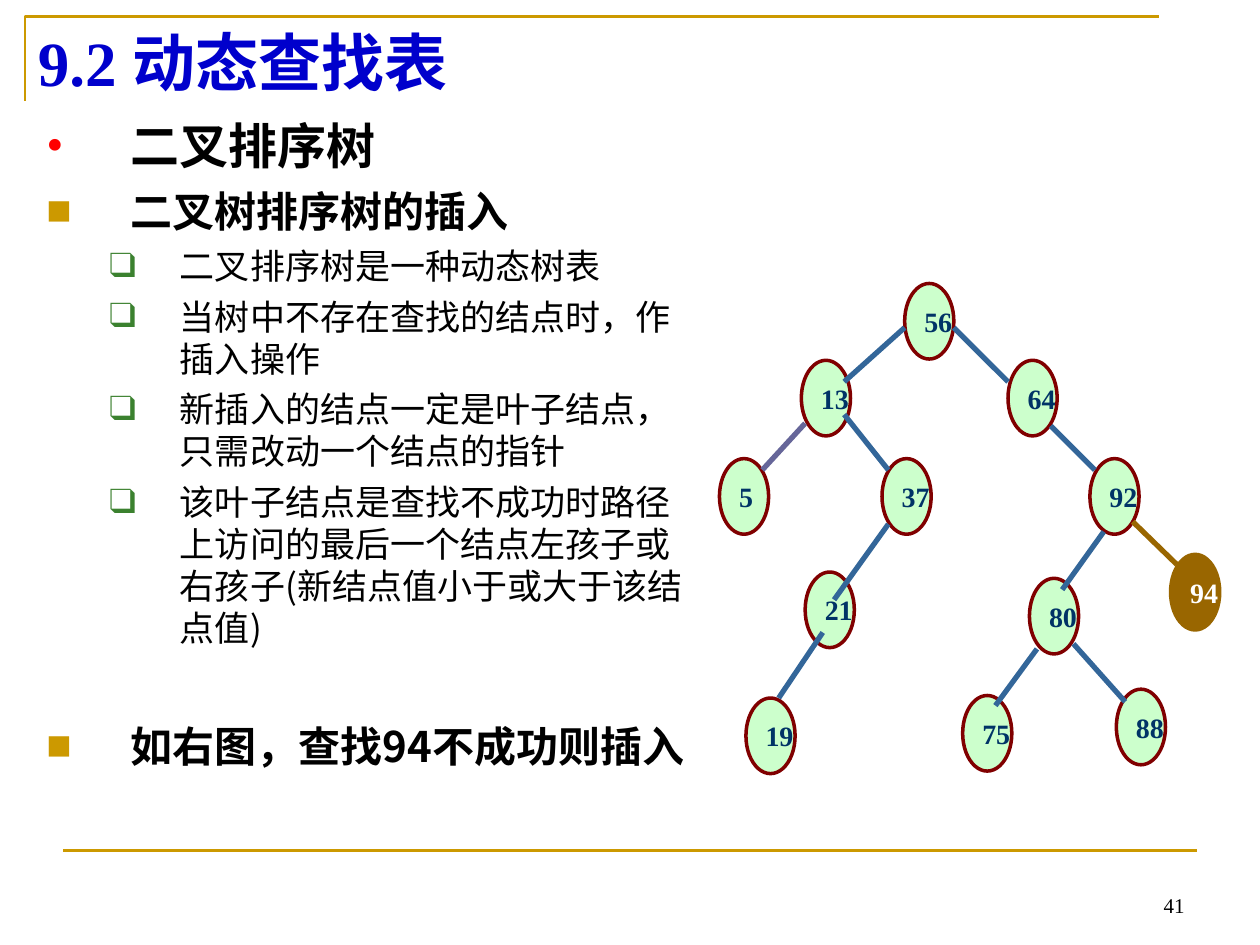
from pptx import Presentation
from pptx.dml.color import RGBColor
from pptx.enum.shapes import MSO_CONNECTOR, MSO_SHAPE
from pptx.enum.text import MSO_ANCHOR, MSO_AUTO_SIZE, PP_ALIGN
from pptx.oxml.ns import qn
from pptx.util import Inches, Pt
from lxml import etree

LINE, OVAL = MSO_CONNECTOR.STRAIGHT, MSO_SHAPE.OVAL
TOP, MID, LOW = MSO_ANCHOR.TOP, MSO_ANCHOR.MIDDLE, MSO_ANCHOR.BOTTOM
LEFT, RIGHT = PP_ALIGN.LEFT, PP_ALIGN.RIGHT


class Theme:
    sans, serif = "Noto Sans CJK SC", "Times New Roman"
    gold, blue, black, white = "CC9900", "0000CC", "000000", "FFFFFF"
    red, green = "FF0000", "3B812F"
    mint, maroon, navy, brown = "CCFFCC", "800000", "003366", "996600"
    edge, violet = "336699", "666699"
    title, node, page = 36, 16, 12
    leading = 1.2


TITLE = "9.2 动态查找表"
PAGE = "41"

# style: size, bold, indent, hanging, space before, bullet, bullet colour
STYLES = {
    "head": (28, True, 0.67, 0.67, 0, "•", Theme.red),
    "topic": (24, True, 0.67, 0.67, 6, "■", Theme.gold),
    "point": (20, False, 1.06, 0.56, 5, "❑", Theme.green),
    "case": (24, True, 0.67, 0.67, 41, "■", Theme.gold),
}
BODY = [
    ("head", "二叉排序树"),
    ("topic", "二叉树排序树的插入"),
    ("point", "二叉排序树是一种动态树表"),
    ("point", "当树中不存在查找的结点时，作插入操作"),
    ("point", "新插入的结点一定是叶子结点，只需改动一个结点的指针"),
    ("point", "该叶子结点是查找不成功时路径上访问的最后一个结点左孩子或右孩子"
              "(新结点值小于或大于该结点值)"),
    ("case", "如右图，查找94不成功则插入"),
]

NODE_W, NODE_H = 0.39, 0.6
NEW = 94
NODES = {  # value: left, top
    56: (7.18, 2.25),
    13: (6.36, 2.86), 64: (8, 2.86),
    5: (5.71, 3.64), 37: (7, 3.64), 92: (8.65, 3.64),
    21: (6.39, 4.54), 80: (8.17, 4.59), 94: (9.29, 4.4),
    19: (5.92, 5.54), 75: (7.64, 5.52), 88: (8.86, 5.47),
}
EDGES = {  # (parent, child): start, end
    (56, 13): ((7.18, 2.6), (6.7, 3.03)),
    (56, 64): ((7.57, 2.6), (8, 3.03)),
    (13, 5): ((6.39, 3.36), (6.05, 3.73)),
    (13, 37): ((6.7, 3.29), (7.05, 3.73)),
    (37, 21): ((7.05, 4.16), (6.62, 4.76)),
    (21, 19): ((6.53, 5.02), (6.18, 5.54)),
    (64, 92): ((8.34, 3.38), (8.69, 3.73)),
    (92, 80): ((8.76, 4.22), (8.43, 4.68)),
    (92, 94): ((8.99, 4.14), (9.34, 4.48)),
    (80, 75): ((8.23, 5.15), (7.9, 5.6)),
    (80, 88): ((8.52, 5.11), (8.93, 5.57)),
}
EDGE_HUES = {5: Theme.violet, NEW: Theme.brown}


def rgb(hue):
    return RGBColor.from_string(hue)


def box(*sides):
    return [Inches(side) for side in sides]


def write(par, text, size, font=Theme.serif, hue=Theme.black, bold=False,
          align=LEFT):
    par.alignment = align
    run = par.add_run()
    run.text = text
    face = run.font
    face.size, face.bold, face.name = Pt(size), bold, font
    face.color.rgb = rgb(hue)
    etree.SubElement(run._r.get_or_add_rPr(), qn("a:ea"), typeface=Theme.sans)


def set_frame(frame, anchor, wrap=True):
    frame.auto_size = MSO_AUTO_SIZE.NONE
    frame.word_wrap, frame.vertical_anchor = wrap, anchor
    return frame.paragraphs[0]


def add_bullet(par, mark, hue, indent, hang):
    props = par._p.get_or_add_pPr()
    props.set("marL", str(Inches(indent)))
    props.set("indent", str(-Inches(hang)))
    tint = etree.SubElement(props, qn("a:buClr"))
    etree.SubElement(tint, qn("a:srgbClr"), val=hue)
    etree.SubElement(props, qn("a:buFont"), typeface=Theme.serif)
    etree.SubElement(props, qn("a:buChar"), char=mark)


def add_line(shapes, start, end, hue, width):
    line = shapes.add_connector(LINE, *box(*start, *end))
    line.line.color.rgb, line.line.width = rgb(hue), Pt(width)
    etree.SubElement(line._element.spPr, qn("a:effectLst"))


def add_rules(shapes):
    pen = shapes.build_freeform(*box(0.2, 0.8), scale=1.0)
    pen.add_line_segments([box(0.2, 0.13), box(9.2, 0.13)], close=False)
    frame = pen.convert_to_shape()
    frame.shadow.inherit = False
    frame.fill.background()
    frame.line.color.rgb, frame.line.width = rgb(Theme.gold), Pt(1.5)
    add_line(shapes, (0.5, 6.75), (9.5, 6.75), Theme.gold, 1.5)


def add_title(shapes):
    title = shapes.title
    title.left, title.top, title.width, title.height = box(0.2, 0.13, 9, 0.71)
    write(set_frame(title.text_frame, MID), TITLE, Theme.title,
          hue=Theme.blue, bold=True)


def add_body(shapes):
    frame = shapes.add_textbox(*box(0.27, 0.87, 5.28, 5.72)).text_frame
    par = set_frame(frame, TOP)
    for row, (style, text) in enumerate(BODY):
        size, bold, indent, hang, gap, mark, hue = STYLES[style]
        par = frame.add_paragraph() if row else par
        par.level = int(style == "point")
        par.line_spacing, par.space_before = Pt(size * Theme.leading), Pt(gap)
        add_bullet(par, mark, hue, indent, hang)
        write(par, text, size, font=Theme.sans, bold=bold)


def add_node(shapes, value, spot):
    new = value == NEW
    node = shapes.add_shape(OVAL, *box(*spot, NODE_W, NODE_H))
    node.shadow.inherit = False
    node.fill.solid()
    node.fill.fore_color.rgb = rgb(Theme.brown if new else Theme.mint)
    node.line.color.rgb = rgb(Theme.brown if new else Theme.maroon)
    node.line.width = Pt(2)
    write(set_frame(node.text_frame, MID, wrap=False), str(value), Theme.node,
          hue=Theme.white if new else Theme.navy, bold=True)


def main():
    deck = Presentation()
    deck.slide_width, deck.slide_height = box(10, 7.5)
    shapes = deck.slides.add_slide(deck.slide_layouts[5]).shapes
    add_rules(shapes)
    add_title(shapes)
    add_body(shapes)
    for value, spot in NODES.items():
        add_node(shapes, value, spot)
    for (_, child), (start, end) in EDGES.items():
        add_line(shapes, start, end, EDGE_HUES.get(child, Theme.edge), 3)
    page = shapes.add_textbox(*box(7.17, 6.83, 2.33, 0.5))
    write(set_frame(page.text_frame, LOW), PAGE, Theme.page, align=RIGHT)
    deck.save("out.pptx")


if __name__ == "__main__":
    main()
